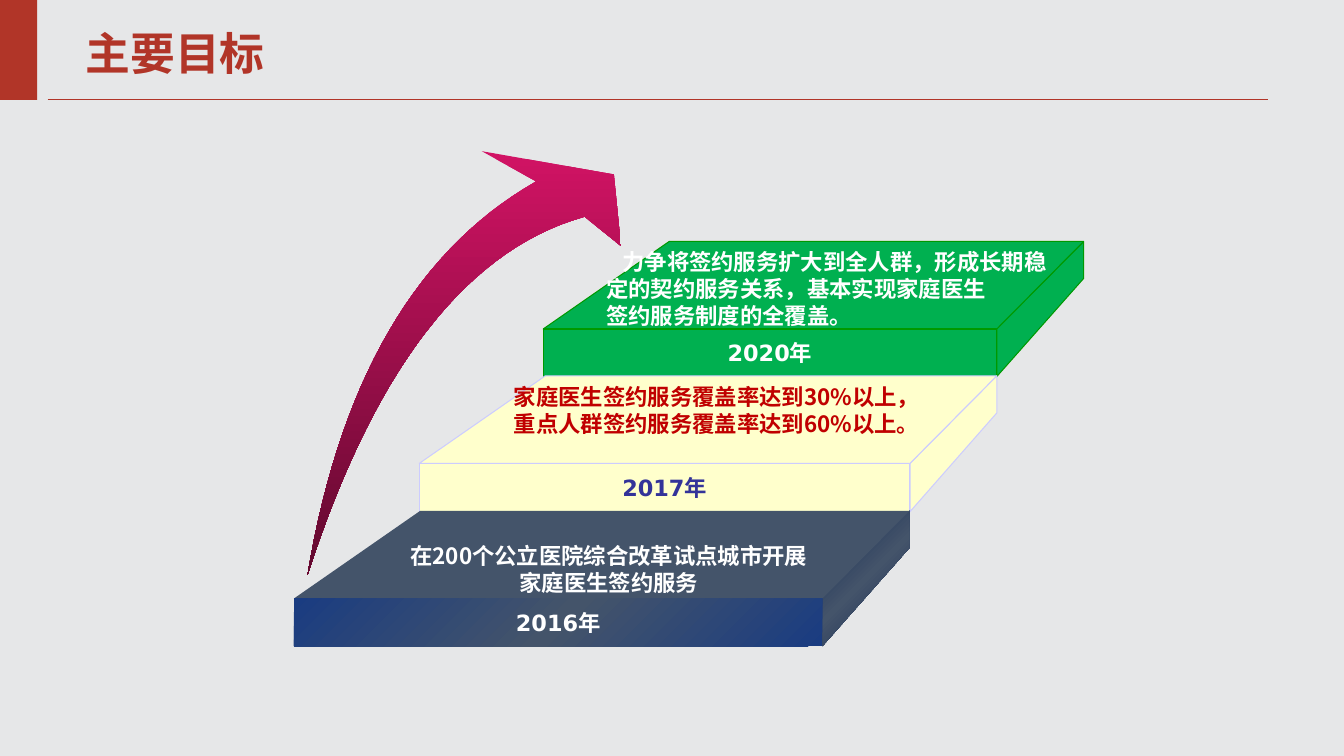
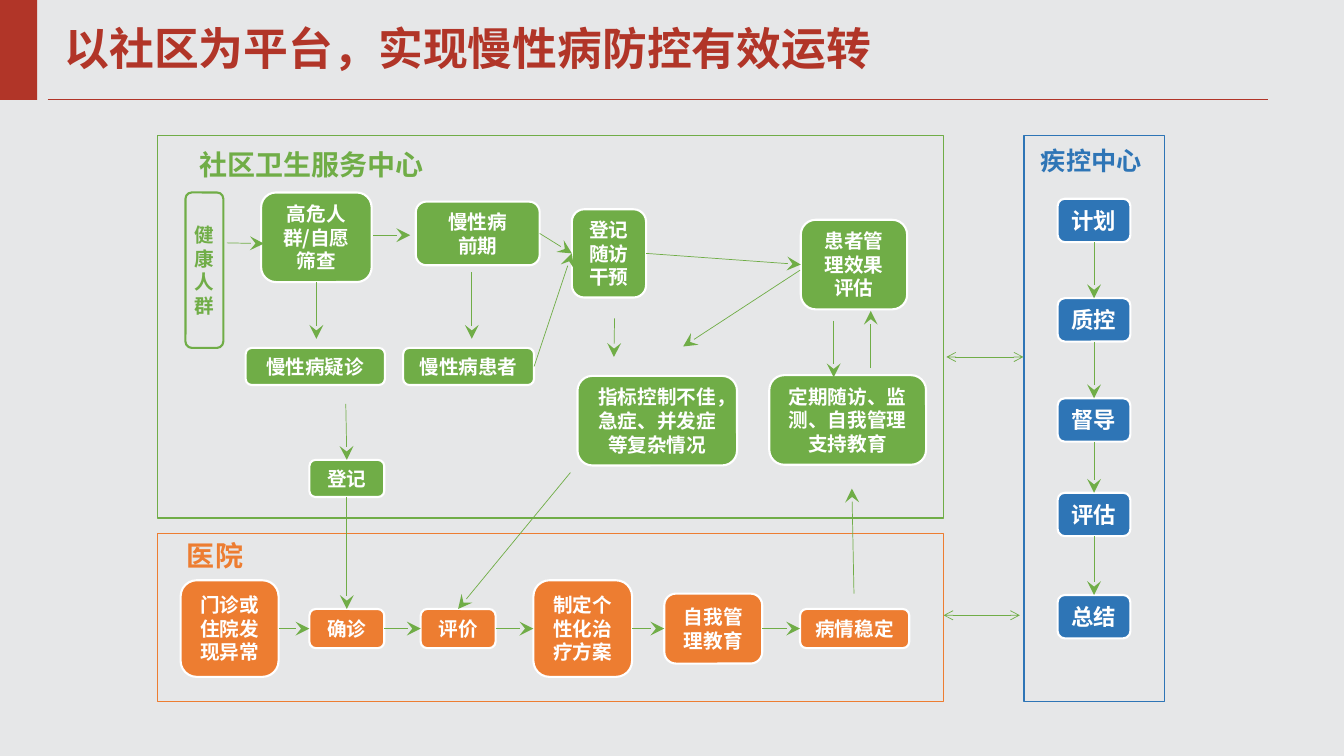
from copy import deepcopy
from dataclasses import dataclass
from itertools import pairwise
from typing import Any, Optional, Union

from pptx import Presentation, util as u
from pptx.dml.color import RGBColor
from pptx.enum import shapes, text
from pptx.oxml.ns import qn
from pptx.oxml.xmlchemy import OxmlElement

Point = tuple[float, float]
Colours = tuple[str, ...]
TOP, LEFT, BOTTOM, RIGHT = range(4)


@dataclass(frozen=True)
class Theme:
    font: str = "Noto Sans CJK SC"
    year_font: str = "DejaVu Sans"
    serif_font: str = "Times New Roman"
    background: str = "E6E7E8"
    accent: str = "B13528"
    white: str = "FFFFFF"
    green: str = "70AD47"
    orange: str = "ED7D31"
    blue: str = "2E75B6"
    slab_green: str = "00B050"
    slab_green_edge: str = "009900"
    slab_yellow: str = "FFFFCC"
    slab_yellow_edge: str = "CCCCFF"
    slab_slate: str = "44546A"
    slab_navy: str = "1A3C81"
    slab_dark: str = "112652"
    year_blue: str = "333399"
    deep_red: str = "C00000"
    pink: str = "D11364"
    wine: str = "61092E"
    title_size: float = 32
    heading_size: float = 20
    side_heading_size: float = 18
    body_size: float = 16
    node_size: float = 14


THEME = Theme()


@dataclass(frozen=True)
class Box:
    left: float
    top: float
    width: float
    height: float

    def lengths(self) -> tuple[u.Length, ...]:
        return tuple(u.Pt(value) for value in (self.left, self.top, self.width, self.height))

    def side(self, side: int) -> Point:
        """Middle of one side."""
        across, down = {TOP: (0.5, 0), LEFT: (0, 0.5), BOTTOM: (0.5, 1), RIGHT: (1, 0.5)}[side]
        return self.left + across * self.width, self.top + down * self.height


@dataclass(frozen=True)
class Step:
    year: str
    wording: str
    front: Box
    note: Box
    top_fill: Colours
    side_fill: Colours
    front_fill: Colours
    edge: Optional[str]
    year_colour: str
    note_colour: str
    align: Any = text.PP_ALIGN.LEFT
    first_indent: float = 0


@dataclass(frozen=True)
class Panel:
    heading: str
    box: Box
    heading_box: Box
    colour: str
    size: float = THEME.heading_size
    font: str = THEME.font


@dataclass(frozen=True)
class Node:
    wording: str
    box: Box


@dataclass(frozen=True)
class Joint:
    node: str
    side: int


@dataclass(frozen=True)
class Arrow:
    start: Union[Point, Joint]
    end: Union[Point, Joint]
    double: bool = False


def rgb(colour: str) -> RGBColor:
    return RGBColor.from_string(colour)


def paint(shape: Any, fill: Colours = (), line: Optional[str] = None,
          width: float = 0.75, angle: float = 45) -> None:
    """Fill with nothing, one colour or an even gradient, and set the outline."""
    shape.shadow.inherit = False
    if not fill:
        shape.fill.background()
    elif len(fill) == 1:
        shape.fill.solid()
        shape.fill.fore_color.rgb = rgb(fill[0])
    else:
        shape.fill.gradient()
        shape.fill.gradient_angle = 360 - angle
        stops = shape.element.spPr.find(".//" + qn("a:gsLst"))
        while len(stops) < len(fill):
            stops.append(deepcopy(stops[-1]))
        for index, (stop, colour) in enumerate(zip(shape.fill.gradient_stops, fill)):
            stop.position = index / (len(fill) - 1)
            stop.color.rgb = rgb(colour)
    if line:
        shape.line.color.rgb = rgb(line)
        shape.line.width = u.Pt(width)
    else:
        shape.line.fill.background()


def write_text(shape: Any, wording: str, *, size: float, colour: str, font: str = THEME.font,
               align: Any = text.PP_ALIGN.LEFT, anchor: Any = text.MSO_ANCHOR.TOP,
               wrap: bool = True, first_indent: float = 0) -> None:
    frame = shape.text_frame
    frame.word_wrap = wrap
    frame.vertical_anchor = anchor
    for index, content in enumerate(wording.split("\n")):
        paragraph = frame.add_paragraph() if index else frame.paragraphs[0]
        paragraph.alignment = align
        if first_indent and not index:
            paragraph._p.get_or_add_pPr().set("indent", str(u.Pt(first_indent)))
        run = paragraph.add_run()
        run.text = content
        run.font.name, run.font.size, run.font.bold = font, u.Pt(size), True
        run.font.color.rgb = rgb(colour)
        east_asian = OxmlElement("a:ea")
        east_asian.set("typeface", THEME.font)
        run.font._element.find(qn("a:latin")).addnext(east_asian)


def add_text(slide: Any, box: Box, wording: str, **text_format: Any) -> None:
    write_text(slide.shapes.add_textbox(*box.lengths()), wording, **text_format)


def add_box(slide: Any, box: Box, rounded: bool = False, **style: Any) -> Any:
    kind = shapes.MSO_SHAPE.ROUNDED_RECTANGLE if rounded else shapes.MSO_SHAPE.RECTANGLE
    shape = slide.shapes.add_shape(kind, *box.lengths())
    paint(shape, **style)
    return shape


def add_outline(slide: Any, points: list[Point], **style: Any) -> None:
    corners = [(u.Pt(x), u.Pt(y)) for x, y in points]
    builder = slide.shapes.build_freeform(*corners[0])
    builder.add_line_segments(corners[1:], close=True)
    paint(builder.convert_to_shape(), **style)


def add_line(slide: Any, start: Point, end: Point, colour: str) -> Any:
    connector = slide.shapes.add_connector(
        shapes.MSO_CONNECTOR.STRAIGHT, *(u.Pt(value) for value in (*start, *end)))
    connector.line.color.rgb = rgb(colour)
    connector.line.width = u.Pt(0.5)
    connector.element.spPr.append(OxmlElement("a:effectLst"))
    return connector


def add_arrow(slide: Any, arrow: Arrow, node_shapes: dict[str, Any], boxes: dict[str, Box]) -> None:
    start, end = (boxes[anchor.node].side(anchor.side) if isinstance(anchor, Joint) else anchor
                  for anchor in (arrow.start, arrow.end))
    connector = add_line(slide, start, end, THEME.green)
    for anchor, connect in ((arrow.start, connector.begin_connect),
                            (arrow.end, connector.end_connect)):
        if isinstance(anchor, Joint):
            connect(node_shapes[anchor.node], anchor.side)
    kind, size = ("arrow", "med") if arrow.double else ("stealth", "lg")
    for tag in ("a:headEnd", "a:tailEnd") if arrow.double else ("a:tailEnd",):
        tip = OxmlElement(tag)
        for name, value in (("type", kind), ("w", size), ("len", size)):
            tip.set(name, value)
        connector.line._get_or_add_ln().append(tip)


def curve(start: Point, control: Point, end: Point, pieces: int = 30) -> list[Point]:
    """Points along a quadratic curve."""
    shares = [index / pieces for index in range(pieces + 1)]
    return [tuple((1 - t) ** 2 * a + 2 * t * (1 - t) * b + t ** 2 * c
                  for a, b, c in zip(start, control, end)) for t in shares]


def new_slide(presentation: Any, title: str, left: float, top: float) -> Any:
    slide = presentation.slides.add_slide(presentation.slide_layouts[6])
    slide.background.fill.solid()
    slide.background.fill.fore_color.rgb = rgb(THEME.background)
    add_line(slide, (34, 71.3), (906, 71.3), THEME.accent)
    add_box(slide, Box(0, 0, 26.5, 71.3), fill=(THEME.accent,))
    add_text(slide, Box(left, top, 860, 45), title, size=THEME.title_size,
             colour=THEME.accent, anchor=text.MSO_ANCHOR.MIDDLE)
    return slide


def draw_step(slide: Any, step: Step) -> None:
    front = step.front
    right, bottom = front.left + front.width, front.top + front.height
    back_left, back_right, back_top = front.left + 90, right + 62, front.top - 62.5
    add_outline(slide, [(back_right, back_top + 26.5), (right, bottom), (right, front.top),
                        (back_right, back_top)], fill=step.side_fill, line=step.edge, width=0)
    add_outline(slide, [(right, front.top), (front.left, front.top), (back_left, back_top),
                        (back_right, back_top)], fill=step.top_fill, line=step.edge, width=0)
    shape = add_box(slide, front, fill=step.front_fill, line=step.edge)
    write_text(shape, step.year, size=THEME.body_size, colour=step.year_colour, wrap=False,
               font=THEME.year_font, align=text.PP_ALIGN.CENTER, anchor=text.MSO_ANCHOR.MIDDLE)
    add_text(slide, step.note, step.wording, size=THEME.body_size, colour=step.note_colour,
             align=step.align, first_indent=step.first_indent)


def build_goals(presentation: Any) -> None:
    slide = new_slide(presentation, "主要目标", 54, 15)
    green, yellow = (THEME.slab_green,), (THEME.slab_yellow,)
    steps = [
        Step("2020年", "力争将签约服务扩大到全人群，形成长期稳定的契约服务关系，基本实现家庭医生\n签约服务制度的全覆盖。",
             Box(388, 235, 324, 34), Box(426, 174, 336, 65.5), green, green, green,
             THEME.slab_green_edge, THEME.white, THEME.white, first_indent=11.5),
        Step("2017年", "家庭医生签约服务覆盖率达到30%以上，\n重点人群签约服务覆盖率达到60%以上。",
             Box(299.5, 331, 350.5, 34.5), Box(360, 270, 312, 46), yellow, yellow, yellow,
             THEME.slab_yellow_edge, THEME.year_blue, THEME.deep_red),
        Step("2016年", "在200个公立医院综合改革试点城市开展家庭医生签约服务",
             Box(210, 427.5, 377.5, 34), Box(282, 384, 306, 46), (THEME.slab_slate,),
             (THEME.slab_dark, THEME.slab_slate, THEME.slab_dark),
             (THEME.slab_navy, THEME.slab_slate, THEME.slab_navy),
             None, THEME.white, THEME.white, text.PP_ALIGN.CENTER),
    ]
    for step in steps:
        draw_step(slide, step)
    tail = (219.6, 411)
    head = [(344.2, 108), (438.5, 124.6), (443.5, 175.7)]
    add_outline(slide, curve(tail, (254.2, 203), (383, 129.6)) + head
                + curve((417.6, 154.8), (290.9, 190), tail)[:-1],
                fill=(THEME.pink, THEME.wine), angle=90)


def build_workflow(presentation: Any) -> None:
    slide = new_slide(presentation, "以社区为平台，实现慢性病防控有效运转", 39, 11.5)
    panels = [
        Panel("疾控中心", Box(731.5, 97, 100.5, 404), Box(736.5, 100, 91.5, 29), THEME.blue,
              THEME.side_heading_size),
        Panel("医院", Box(112.5, 381, 561.5, 120), Box(126.5, 381, 66, 31.5), THEME.orange),
        Panel("社区卫生服务中心", Box(112.5, 97, 561.5, 273), Box(135.5, 101.5, 248, 31.5),
              THEME.green, font=THEME.serif_font),
    ]
    for panel in panels:
        add_box(slide, panel.box, line=panel.colour, width=1)
        add_text(slide, panel.heading_box, panel.heading, size=panel.size, colour=panel.colour,
                 font=panel.font)

    hospital_row = [("门诊或住院发现异常", 129, 70, 69), ("确诊", 221, 53.5, 28),
                    ("评价", 300.5, 53.5, 28), ("制定个性化治疗方案", 381, 70.5, 69),
                    ("自我管理教育", 474.5, 70, 50), ("病情稳定", 571.5, 78, 28)]
    hospital = [Node(wording, Box(left, 449 - height / 2, width, height))
                for wording, left, width, height in hospital_row]
    control = [Node(wording, Box(755.5, top, 52, 31)) for wording, top in
               (("计划", 142), ("质控", 213), ("督导", 284.5), ("评估", 352), ("总结", 425))]
    screening, early, followed = "高危人群/自愿筛查", "慢性病\n前期", "登记\n随访\n干预"
    patients, registered, effect = "慢性病患者", "登记", "患者管理效果评估"
    community = [
        Node(screening, Box(186.5, 137.5, 79, 64)),
        Node(early, Box(297, 144, 88.5, 45.5)),
        Node(followed, Box(408.5, 149.5, 53, 63)),
        Node(patients, Box(288, 248.5, 93.5, 26.5)),
        Node("慢性病疑诊", Box(175.5, 248.5, 99.5, 26.5)),
        Node(registered, Box(221, 328.5, 53.5, 26.5)),
        Node("指标控制不佳，急症、并发症等复杂情况", Box(412.5, 268.5, 114, 64)),
        Node("定期随访、监测、自我管理支持教育", Box(549.5, 268, 112, 64)),
        Node(effect, Box(572, 157, 76, 64)),
    ]
    node_shapes: dict[str, Any] = {}
    boxes: dict[str, Box] = {}
    centred = {"align": text.PP_ALIGN.CENTER, "anchor": text.MSO_ANCHOR.MIDDLE}
    for nodes, colour, size in ((hospital, THEME.orange, THEME.node_size),
                                (community, THEME.green, THEME.node_size),
                                (control, THEME.blue, THEME.body_size)):
        for node in nodes:
            shape = add_box(slide, node.box, True, fill=(colour,), line=THEME.white, width=1.5)
            write_text(shape, node.wording, size=size, colour=THEME.white,
                       wrap=nodes is not control, **centred)
            node_shapes[node.wording], boxes[node.wording] = shape, node.box
    healthy = add_box(slide, Box(132.5, 137.5, 27, 111), True, line=THEME.green, width=1.5)
    write_text(healthy, "健\n康\n人\n群", size=THEME.node_size, colour=THEME.green,
               wrap=False, **centred)

    arrows = [Arrow(Joint(first.wording, leave), Joint(second.wording, enter))
              for chain, leave, enter in ((hospital, RIGHT, LEFT), (control, BOTTOM, TOP))
              for first, second in pairwise(chain)]
    arrows += [
        Arrow((162, 173.5), (188.5, 174)),
        Arrow((266.5, 168), (293, 168)),
        Arrow(Joint(screening, BOTTOM), (226, 242)),
        Arrow((337, 194.5), (337, 242)),
        Arrow(Joint(early, RIGHT), Joint(followed, LEFT)),
        Arrow(Joint(patients, RIGHT), Joint(followed, LEFT)),
        Arrow(Joint(followed, RIGHT), Joint(effect, LEFT)),
        Arrow((247, 288.5), Joint(registered, TOP)),
        Arrow(Joint(registered, BOTTOM), Joint("确诊", TOP)),
        Arrow((407.5, 337.5), Joint("评价", TOP)),
        Arrow((439, 227.5), (438.5, 255)),
        Arrow((571.5, 193), (488, 247.5)),
        Arrow((595.5, 229), (595.5, 269.5)),
        Arrow((622, 263), (622, 222)),
        Arrow((610, 424), (608.5, 349)),
        Arrow((676, 255), (731, 255), double=True),
        Arrow((674, 439.5), (728.5, 439.5), double=True),
    ]
    for arrow in arrows:
        add_arrow(slide, arrow, node_shapes, boxes)


def main() -> None:
    presentation = Presentation()
    presentation.slide_width, presentation.slide_height = u.Pt(960), u.Pt(540)
    build_goals(presentation)
    build_workflow(presentation)
    presentation.save("out.pptx")


if __name__ == "__main__":
    main()
